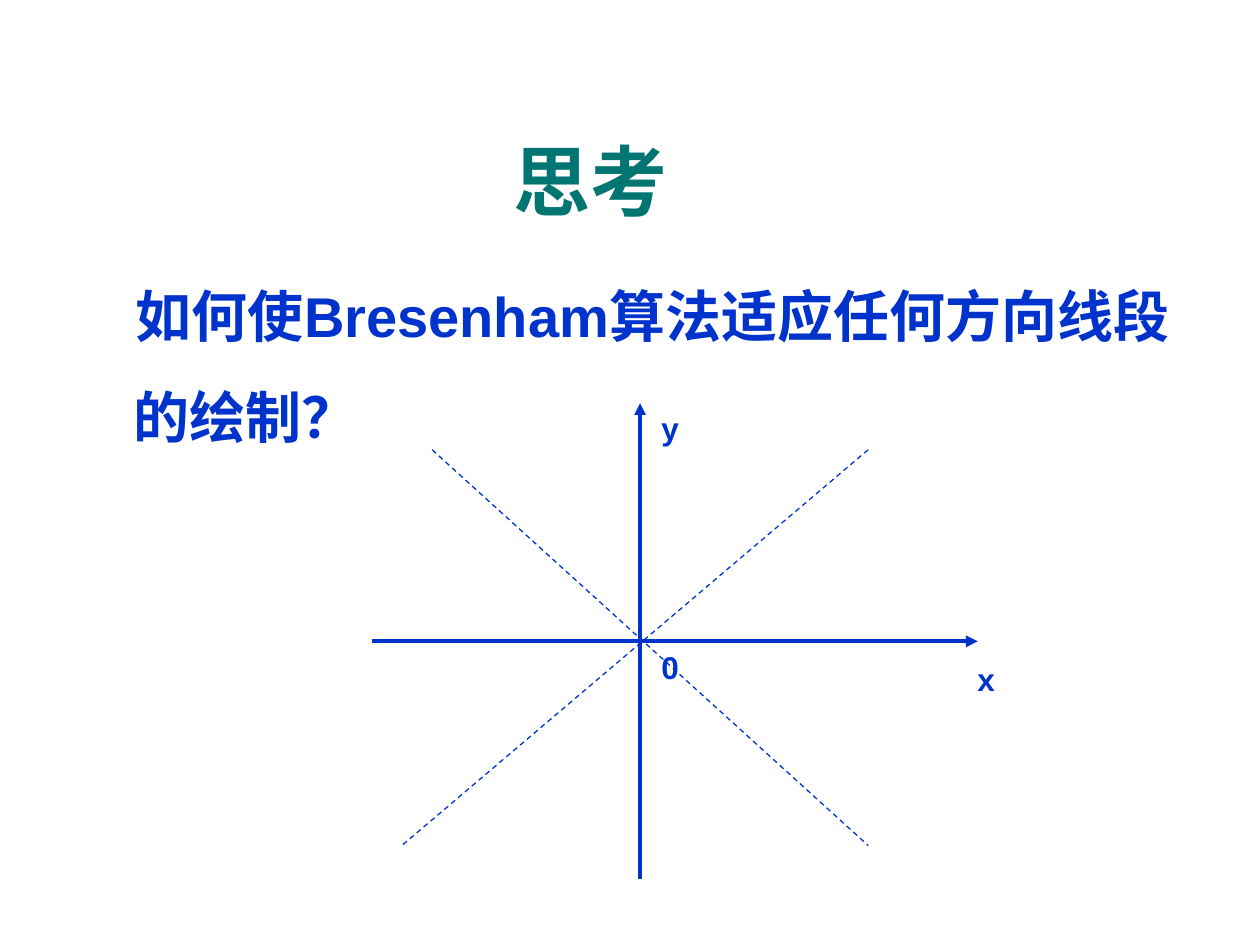
from dataclasses import dataclass

from lxml.etree import SubElement
from pptx import Presentation
from pptx.dml.color import RGBColor
from pptx.enum.dml import MSO_LINE
from pptx.enum.shapes import MSO_CONNECTOR
from pptx.enum.text import MSO_ANCHOR, MSO_AUTO_SIZE, PP_ALIGN
from pptx.oxml.ns import qn
from pptx.util import Inches, Pt


@dataclass(frozen=True)
class Theme:
    """Colours, font and type sizes of the slide."""
    font: str = "Arial"
    title_color: RGBColor = RGBColor(0x00, 0x75, 0x72)
    ink: RGBColor = RGBColor(0x00, 0x33, 0xCC)
    title_size: Pt = Pt(44)
    body_size: Pt = Pt(32)
    label_size: Pt = Pt(18)
    axis_width: Pt = Pt(2.25)
    guide_width: Pt = Pt(0.75)


THEME = Theme()


def style_text(para, size, color):
    """Format every run of a paragraph in the bold slide font."""
    for span in para.runs:
        span.font.name = THEME.font
        span.font.size = size
        span.font.bold = True
        span.font.color.rgb = color


def place_title(page, left, top, width, height):
    """Move and format the title placeholder."""
    title = page.shapes.title
    title.left, title.top = Inches(left), Inches(top)
    title.width, title.height = Inches(width), Inches(height)
    frame = title.text_frame
    frame.text = "思考"
    frame.vertical_anchor = MSO_ANCHOR.MIDDLE
    para = frame.paragraphs[0]
    para.alignment = PP_ALIGN.CENTER
    style_text(para, THEME.title_size, THEME.title_color)


def add_question(page, left, top, width, height):
    """Add the question as one indented paragraph."""
    box = page.shapes.add_textbox(Inches(left), Inches(top), Inches(width), Inches(height))
    frame = box.text_frame
    frame.word_wrap = True
    frame.text = "如何使Bresenham算法适应任何方向线段的绘制？"
    para = frame.paragraphs[0]
    para.line_spacing = 1.5
    properties = para._p.get_or_add_pPr()
    properties.set("marL", str(Inches(0.38)))
    properties.set("indent", str(Inches(0.02)))
    style_text(para, THEME.body_size, THEME.ink)


def add_line(page, start, end, width, arrow=None, dash=None):
    """Add a straight line with an optional arrowhead element and dash."""
    points = [Inches(value) for value in (*start, *end)]
    connector = page.shapes.add_connector(MSO_CONNECTOR.STRAIGHT, *points)
    connector.line.color.rgb = THEME.ink
    connector.line.width = width
    if dash:
        connector.line.dash_style = dash
    if arrow:
        SubElement(connector.line._get_or_add_ln(), qn(arrow), type="triangle")
    SubElement(connector._element.spPr, qn("a:effectLst"))


def add_label(page, text, left, top):
    """Add a small unwrapped label."""
    box = page.shapes.add_textbox(Inches(left), Inches(top), Inches(0.34), Inches(0.4))
    frame = box.text_frame
    frame.word_wrap = False
    frame.auto_size = MSO_AUTO_SIZE.SHAPE_TO_FIT_TEXT
    frame.text = text
    style_text(frame.paragraphs[0], THEME.label_size, THEME.ink)


def add_axes(page, left, top, width, height):
    """Add the coordinate axes, their labels and the dashed diagonals."""
    right, bottom = left + width, top + height
    origin_x, origin_y = left + 2.13, top + 1.89
    add_line(page, (left, origin_y), (right, origin_y), THEME.axis_width, arrow="a:tailEnd")
    add_line(page, (origin_x, top), (origin_x, bottom), THEME.axis_width, arrow="a:headEnd")

    label_left = origin_x + 0.07
    add_label(page, "x", right - 0.1, origin_y + 0.1)
    add_label(page, "y", label_left, top)
    add_label(page, "0", label_left, origin_y)

    guide_top, guide_bottom = top + 0.37, bottom - 0.27
    guide_right = right - 0.87
    for start, end in (
        ((guide_right, guide_top), (left + 0.24, guide_bottom)),
        ((left + 0.48, guide_top), (guide_right, guide_bottom)),
    ):
        add_line(page, start, end, THEME.guide_width, dash=MSO_LINE.DASH)


def main():
    """Build and save the slide."""
    deck = Presentation()
    deck.slide_width, deck.slide_height = Inches(10), Inches(7.5)
    page = deck.slides.add_slide(deck.slide_layouts.get_by_name("Title Only"))
    place_title(page, 0.69, 1.01, 7.99, 0.83)
    add_question(page, 0.58, 1.92, 9, 1.7)
    add_axes(page, 2.95, 3.2, 4.81, 3.78)
    deck.save("out.pptx")


if __name__ == "__main__":
    main()
